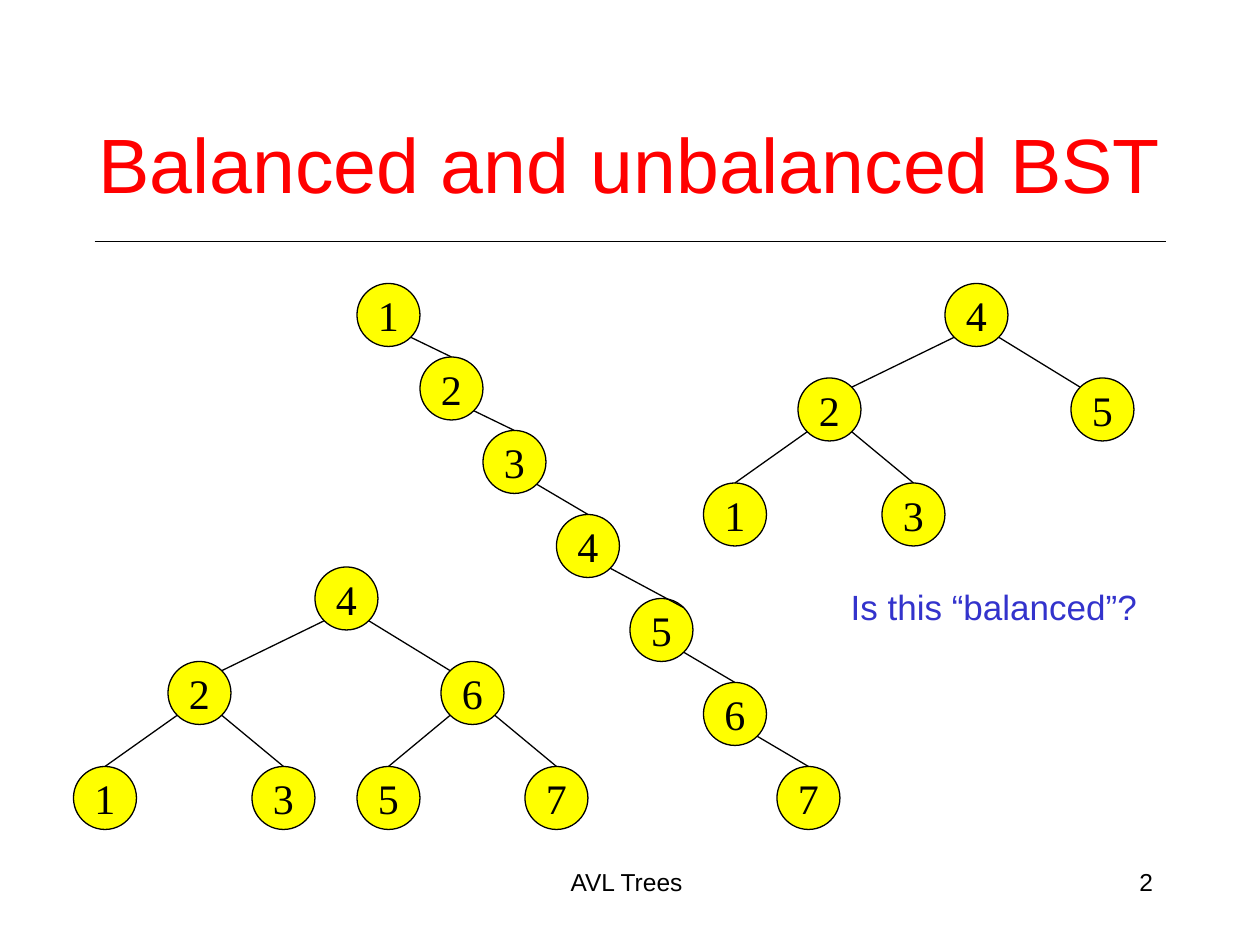
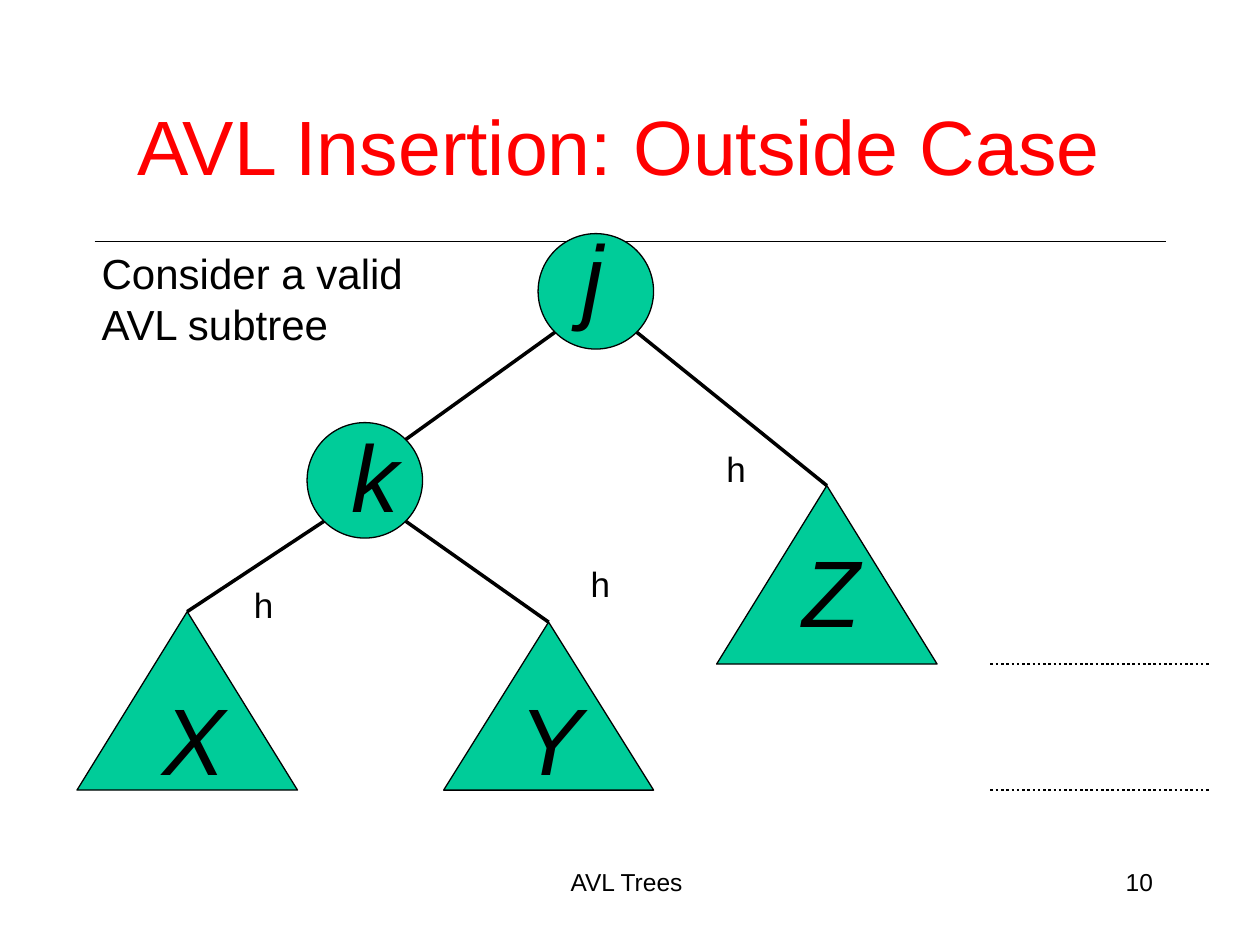
from lxml import etree
from pptx import Presentation
from pptx.dml.color import RGBColor
from pptx.enum.dml import MSO_LINE
from pptx.enum.shapes import MSO_CONNECTOR, MSO_SHAPE
from pptx.enum.text import MSO_ANCHOR, MSO_AUTO_SIZE, PP_ALIGN
from pptx.oxml.ns import qn
from pptx.util import Pt

LEFT, CENTER, RIGHT = PP_ALIGN.LEFT, PP_ALIGN.CENTER, PP_ALIGN.RIGHT
TOP, MIDDLE = MSO_ANCHOR.TOP, MSO_ANCHOR.MIDDLE
OVAL, TRIANGLE = MSO_SHAPE.OVAL, MSO_SHAPE.ISOSCELES_TRIANGLE
COLORS = {"black": "000000", "title": "FF0000", "question": "3333CC",
          "node": "FFFF00", "subtree": "00CC99"}
SANS, SERIF = "Arial", "Times New Roman"
FOOTER = "AVL Trees "

# Balanced layout: place in the tree (L/R path from the root) -> offset
SLOTS = {"": (0, 0), "L": (-84, 54), "R": (72, 54), "LL": (-138, 114),
         "LR": (-36, 114), "RL": (24, 114), "RR": (120, 114)}
BALANCED_TREES = [
    ((540, 162), {"": "4", "L": "2", "R": "5", "LL": "1", "LR": "3"}),
    ((180, 324), {"": "4", "L": "2", "R": "6", "LL": "1", "LR": "3",
                  "RL": "5", "RR": "7"}),
]
CHAIN = [(204, 162), (240, 204), (276, 246), (318, 294), (360, 342),
         (402, 390), (444, 438)]
CHAIN_ENDS = {"5": "upper right"}
NODE = 36

# Name: preset, box, label position
AVL_PARTS = {
    "j": (OVAL, (307.5, 133.5, 66, 66), (325.5, 121)),
    "k": (OVAL, (175.5, 241.5, 66, 66), (193.5, 235.5)),
    "X": (TRIANGLE, (44, 349.5, 126, 102), (85.5, 385.5)),
    "Y": (TRIANGLE, (253.5, 355.5, 120, 96), (289.5, 385.5)),
    "Z": (TRIANGLE, (409.5, 277.5, 126, 102), (451.5, 301)),
}
AVL_EDGES = [("j", "lower left", "k", "upper right"), ("k", "lower left", "X", "top"),
             ("k", "lower right", "Y", "top"), ("j", "lower right", "Z", "top")]
HEIGHT_LABELS = [(408, 252), (138, 330), (330.5, 318)]
LEVELS = [379.5, 451.5]


def rgb(name):
    return RGBColor.from_string(COLORS[name])


def write(sp, lines, size, color="black", font=SANS, align=LEFT, anchor=TOP,
          italic=False, wrap=True, grow=False):
    tf = sp.text_frame
    tf.word_wrap, tf.vertical_anchor = wrap, anchor
    tf.auto_size = MSO_AUTO_SIZE.SHAPE_TO_FIT_TEXT if grow else MSO_AUTO_SIZE.NONE
    for i, line in enumerate(lines):
        p = tf.paragraphs[0] if i == 0 else tf.add_paragraph()
        p.alignment = align
        r = p.add_run()
        r.text = line
        r.font.name, r.font.size = font, Pt(size)
        r.font.color.rgb = rgb(color)
        if italic:
            r.font.italic = True


def add_text(s, box, lines, size, **style):
    write(s.shapes.add_textbox(*map(Pt, box)), lines, size, **style)


def add_line(s, start, end, width=0.75, dash=None):
    sp = s.shapes.add_connector(MSO_CONNECTOR.STRAIGHT, *map(Pt, (*start, *end)))
    sp.line.color.rgb, sp.line.width = rgb("black"), Pt(width)
    if dash:
        sp.line.dash_style = dash
    etree.SubElement(sp._element.spPr, qn("a:effectLst"))


def add_solid(s, preset, box, fill):
    sp = s.shapes.add_shape(preset, *map(Pt, box))
    sp.shadow.inherit = False
    sp.fill.solid()
    sp.fill.fore_color.rgb = rgb(fill)
    sp.line.color.rgb, sp.line.width = rgb("black"), Pt(0.75)
    return sp


def site(box, name):
    """Point of a box's top or of its circle's 45 degree corners."""
    x, y, w, h = box
    cx, cy = x + w / 2, y + h / 2
    if name == "top":
        return cx, y
    dx, dy = 0.3536 * w, 0.3536 * h
    return (cx + (dx if "right" in name else -dx),
            cy + (dy if "lower" in name else -dy))


def add_edges(s, boxes, edges, width=0.75):
    for parent, start, child, end in edges:
        add_line(s, site(boxes[parent], start), site(boxes[child], end), width)


def add_tree(s, boxes, labels, edges):
    for key, box in boxes.items():
        sp = add_solid(s, OVAL, box, "node")
        write(sp, [labels[key]], 24, font=SERIF, align=CENTER, anchor=MIDDLE, wrap=False)
    add_edges(s, boxes, edges)


def add_balanced_tree(s, root, labels):
    boxes = {path: (root[0] + SLOTS[path][0], root[1] + SLOTS[path][1], NODE, NODE)
             for path in labels}
    sides = {"L": ("lower left", "upper right"), "R": ("lower right", "upper left")}
    edges = []
    for path in filter(None, labels):
        start, shoulder = sides[path[-1]]
        edges.append((path[:-1], start, path, shoulder if len(path) == 1 else "top"))
    add_tree(s, boxes, labels, edges)


def add_chain(s):
    boxes = {str(i): (x, y, NODE, NODE) for i, (x, y) in enumerate(CHAIN, 1)}
    keys = list(boxes)
    edges = [(a, "lower right", b, CHAIN_ENDS.get(b, "top"))
             for a, b in zip(keys, keys[1:])]
    add_tree(s, boxes, {key: key for key in keys}, edges)


def new_slide(prs, title, title_box, number):
    s = prs.slides.add_slide(prs.slide_layouts[6])
    add_line(s, (54, 138), (666, 138))
    add_text(s, (246, 492, 228, 36), [FOOTER], 14, align=CENTER)
    add_text(s, (516, 492, 150, 36), [number], 14, align=RIGHT)
    add_text(s, title_box, [title], 44, color="title", align=CENTER, anchor=MIDDLE)
    return s


def build_bst_slide(prs):
    s = new_slide(prs, "Balanced and unbalanced BST", (42, 48, 636, 90), "2")
    for root, labels in BALANCED_TREES:
        add_balanced_tree(s, root, labels)
    add_chain(s)
    add_text(s, (479, 331, 178, 31.5), ["Is this “balanced”?"], 20,
             color="question", wrap=False, grow=True)


def build_insertion_slide(prs):
    s = new_slide(prs, "AVL Insertion: Outside Case ", (52.5, 51, 615, 63.5), "10")
    for name, (preset, box, label_at) in AVL_PARTS.items():
        add_solid(s, preset, box, "subtree")
        add_text(s, (*label_at, 40, 72), [name], 54, italic=True, grow=True)
    boxes = {name: part[1] for name, part in AVL_PARTS.items()}
    add_edges(s, boxes, AVL_EDGES, 2)
    for y in LEVELS:
        add_line(s, (566, y), (692, y), 1.5, MSO_LINE.ROUND_DOT)
    add_text(s, (51, 138, 186.5, 65), ["Consider a valid", "AVL subtree"], 24,
             wrap=False, grow=True)
    for x, y in HEIGHT_LABELS:
        add_text(s, (x, y, 25, 31.5), ["h"], 20, wrap=False, grow=True)


def main():
    prs = Presentation()
    prs.slide_width, prs.slide_height = Pt(720), Pt(540)
    build_bst_slide(prs)
    build_insertion_slide(prs)
    prs.save("out.pptx")


if __name__ == "__main__":
    main()
